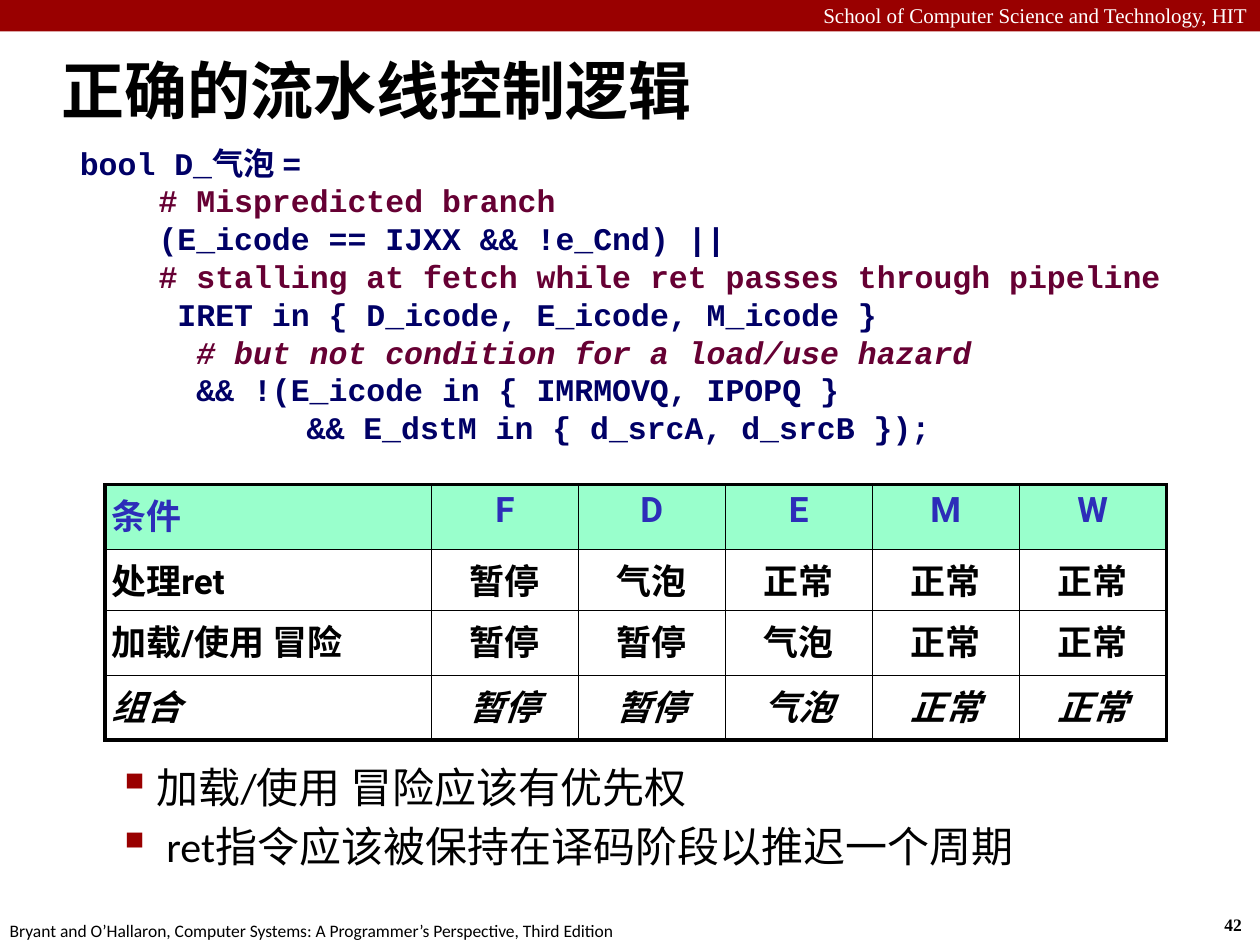
from lxml.etree import SubElement
from pptx import Presentation
from pptx.dml.color import RGBColor as Rgb
from pptx.enum.shapes import MSO_SHAPE as Shape
from pptx.enum.text import MSO_ANCHOR as Anchor, PP_ALIGN as Align
from pptx.oxml.ns import qn
from pptx.util import Pt

COLORS = {
    "red": "990000", "white": "FFFFFF", "black": "000000", "navy": "000066",
    "comment": "660033", "heading": "2D2DB9", "mint": "99FFCC",
}
HEADER = "School of Computer Science and Technology, HIT"
TITLE = "正确的流水线控制逻辑"
FOOTER = "Bryant and O’Hallaron, Computer Systems: A Programmer’s Perspective, Third Edition"
PAGE_NUMBER = "42"
TAB, CHAR = 45, 10.8
CODE = [
    (0, "navy", False, "bool D_气泡 ="),
    (TAB, "comment", False, "# Mispredicted branch"),
    (TAB, "navy", False, "(E_icode == IJXX && !e_Cnd) ||"),
    (TAB, "comment", False, "# stalling at fetch while ret passes through pipeline"),
    (TAB + CHAR, "navy", False, "IRET in { D_icode, E_icode, M_icode }"),
    (TAB + 2 * CHAR, "comment", True, "# but not condition for a load/use hazard"),
    (TAB + 2 * CHAR, "navy", False, "&& !(E_icode in { IMRMOVQ, IPOPQ }"),
    (12 * CHAR, "navy", False, "&& E_dstM in { d_srcA, d_srcB });"),
]
CONDITIONS = [
    ["条件", "F", "D", "E", "M", "W"],
    ["处理ret", "暂停", "气泡", "正常", "正常", "正常"],
    ["加载/使用 冒险", "暂停", "暂停", "气泡", "正常", "正常"],
    ["组合", "暂停", "暂停", "气泡", "正常", "正常"],
]
COLUMN_WIDTHS = [186.5] + [84] * 5
ROW_HEIGHTS = [37, 35, 37, 37]
BULLETS = ["加载/使用 冒险应该有优先权", " ret指令应该被保持在译码阶段以推迟一个周期"]


def add_span(para, text, color, **font):
    span = para.add_run()
    span.text = text
    span.font.color.rgb = Rgb.from_string(COLORS[color])
    for name, value in font.items():
        setattr(span.font, name, Pt(value) if name == "size" else value)


def add_box(page, place, margins=(7.2, 3.6), wrap=True, anchor=Anchor.TOP):
    frame = page.shapes.add_textbox(*map(Pt, place)).text_frame
    set_margins(frame, *margins)
    frame.word_wrap = wrap
    frame.vertical_anchor = anchor
    return frame


def set_margins(target, across, down):
    for side, value in zip(("left", "right", "top", "bottom"), (across, across, down, down)):
        setattr(target, "margin_" + side, Pt(value))


def set_space_before(para, percent):
    before = SubElement(para._p.get_or_add_pPr(), qn("a:spcBef"))
    SubElement(before, qn("a:spcPct")).set("val", str(percent * 1000))


def set_indent(para, left, first=0):
    props = para._p.get_or_add_pPr()
    props.set("marL", str(Pt(left)))
    props.set("indent", str(Pt(first)))
    return props


def set_borders(cell, widths):
    props = cell._tc.get_or_add_tcPr()
    for position, (side, width) in enumerate(widths.items()):
        line = props.makeelement(qn("a:ln" + side), {"w": str(Pt(width))})
        fill = SubElement(line, qn("a:solidFill"))
        SubElement(fill, qn("a:srgbClr")).set("val", COLORS["black"])
        props.insert(position, line)


def add_frame_text(page):
    bar = page.shapes.add_shape(Shape.RECTANGLE, 0, 0, Pt(720), Pt(18))
    bar.shadow.inherit = False
    bar.fill.solid()
    bar.fill.fore_color.rgb = Rgb.from_string(COLORS["red"])
    bar.line.fill.background()
    header = add_box(page, (0, -2, 720, 21.6)).paragraphs[0]
    header.alignment = Align.RIGHT
    add_span(header, HEADER, "white", name="Times New Roman", size=12)
    number = add_box(page, (692.6, 519, 26.6, 19.4), wrap=False).paragraphs[0]
    add_span(number, PAGE_NUMBER, "black", name="Times New Roman", size=10, bold=True)
    footer = add_box(page, (-1.5, 522, 366, 19.4), wrap=False).paragraphs[0]
    add_span(footer, FOOTER, "black", name="Calibri", size=10)
    title = add_box(page, (28, 21, 692, 60), anchor=Anchor.MIDDLE).paragraphs[0]
    add_span(title, TITLE, "black", name="Calibri", size=36, bold=True)


def add_code(page):
    frame = add_box(page, (42, 78.5, 666, 202), (3.6, 3.6))
    for index, (indent, color, italic, text) in enumerate(CODE):
        para = frame.add_paragraph() if index else frame.paragraphs[0]
        para.line_spacing = Pt(21.6)
        set_indent(para, indent)
        add_span(para, text, color, name="Courier New", size=18, bold=True, italic=italic)


def add_conditions(page):
    last_row, last_column = len(ROW_HEIGHTS) - 1, len(COLUMN_WIDTHS) - 1
    place = (60, 277, sum(COLUMN_WIDTHS), sum(ROW_HEIGHTS))
    table = page.shapes.add_table(last_row + 1, last_column + 1, *map(Pt, place)).table
    for column, width in zip(table.columns, COLUMN_WIDTHS):
        column.width = Pt(width)
    for r, (row, height) in enumerate(zip(table.rows, ROW_HEIGHTS)):
        row.height = Pt(height)
        for c, cell in enumerate(row.cells):
            set_margins(cell, 3.6, 3.6)
            if r == 0:
                cell.fill.solid()
                cell.fill.fore_color.rgb = Rgb.from_string(COLORS["mint"])
            else:
                cell.fill.background()
            edges = {"L": c == 0, "R": c == last_column, "T": r == 0, "B": r == last_row}
            set_borders(cell, {side: 2.25 if outer else 1 for side, outer in edges.items()})
            para = cell.text_frame.paragraphs[0]
            para.alignment = Align.CENTER if c else Align.LEFT
            para.line_spacing = 0.95
            set_space_before(para, 50)
            add_span(para, CONDITIONS[r][c], "black" if r else "heading",
                     name="Roboto", size=20, bold=True, italic=r == last_row)


def add_bullets(page):
    frame = add_box(page, (24, 431.5, 662, 88.5))
    for index, text in enumerate(BULLETS):
        para = frame.add_paragraph() if index else frame.paragraphs[0]
        props = set_indent(para, 58.5, -22.5)
        set_space_before(para, 20)
        color = SubElement(props, qn("a:buClr"))
        SubElement(color, qn("a:srgbClr")).set("val", COLORS["red"])
        SubElement(props, qn("a:buSzPct")).set("val", "110000")
        SubElement(props, qn("a:buChar")).set("char", "▪")
        add_span(para, text, "black", name="Calibri", size=24)


def main():
    deck = Presentation()
    deck.slide_width, deck.slide_height = Pt(720), Pt(540)
    page = deck.slides.add_slide(deck.slide_layouts[6])
    for add_part in (add_frame_text, add_bullets, add_conditions, add_code):
        add_part(page)
    deck.save("out.pptx")


if __name__ == "__main__":
    main()
